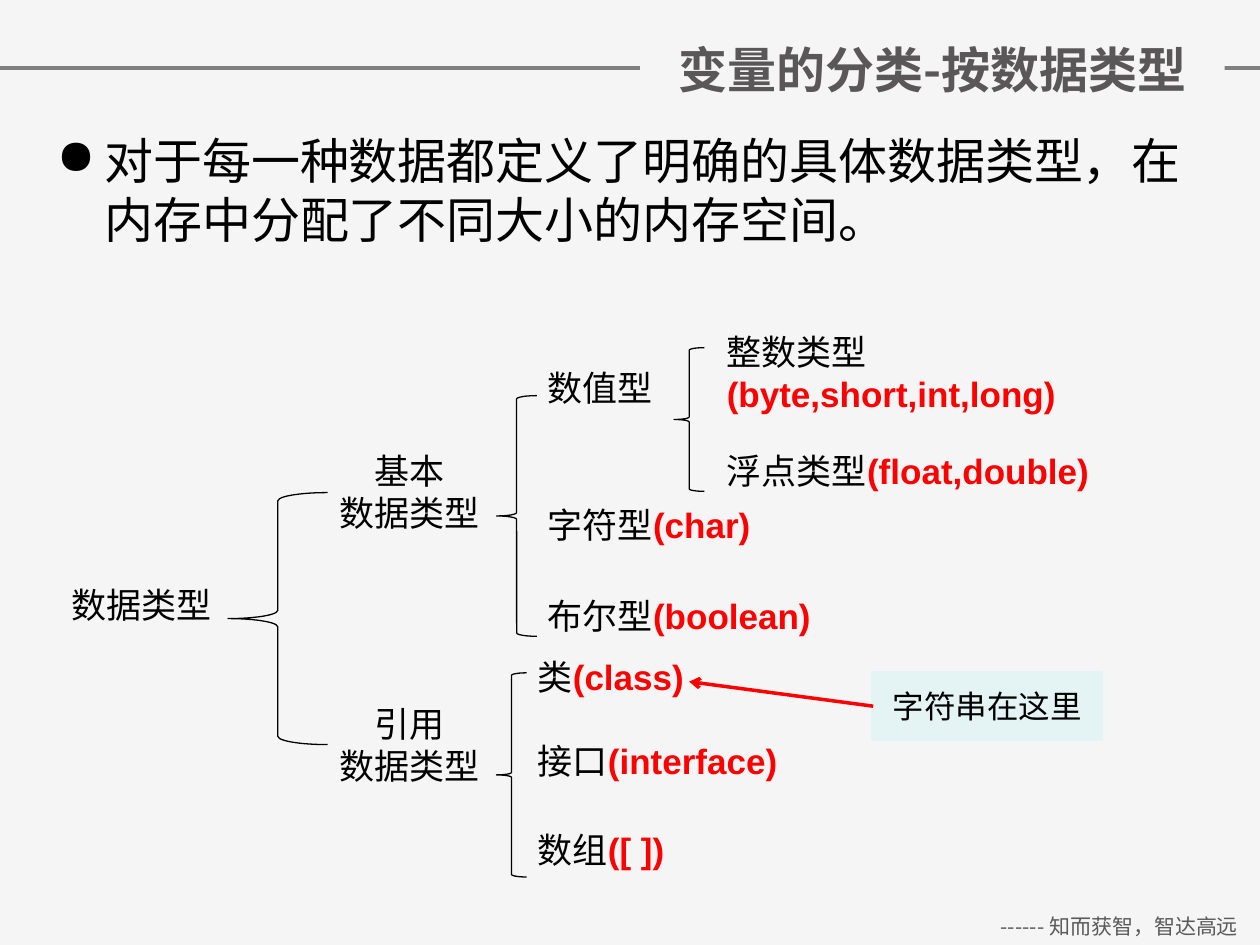
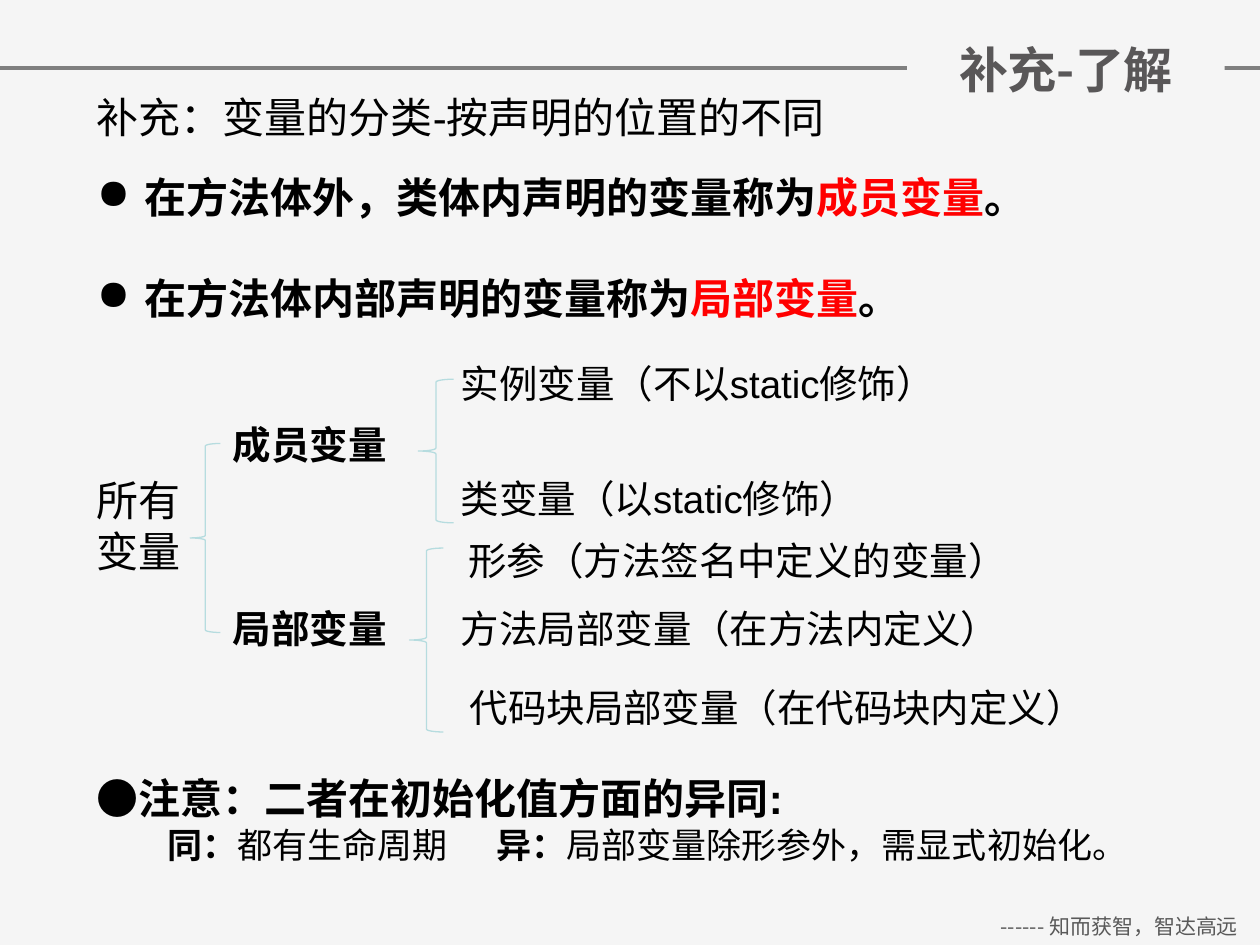
"""Build two slides that classify variables by data type and by place of declaration."""
from dataclasses import dataclass
from typing import NamedTuple

from lxml import etree
from pptx import Presentation
from pptx.dml.color import RGBColor
from pptx.enum.shapes import MSO_CONNECTOR, MSO_SHAPE
from pptx.enum.text import MSO_ANCHOR, PP_ALIGN
from pptx.oxml.ns import qn
from pptx.util import Inches, Pt

LEFT, CENTER = PP_ALIGN.LEFT, PP_ALIGN.CENTER
TOP, MIDDLE = MSO_ANCHOR.TOP, MSO_ANCHOR.MIDDLE
STRAIGHT = MSO_CONNECTOR.STRAIGHT
BRACE, RECTANGLE = MSO_SHAPE.LEFT_BRACE, MSO_SHAPE.RECTANGLE

WIDTH, HEIGHT = Inches(10), Inches(7.5)
COLUMN, ROW = WIDTH / 100, HEIGHT / 75

BLACK, RED, PAPER = "000000", "FF0000", "F5F5F5"
RULE_GRAY, TITLE_GRAY, FOOTER_GRAY = "7F7F7F", "595758", "595959"
PALE_TEAL, TEAL = "E4F3F4", "B6DCDF"
LATIN, CJK = "Arial", "Noto Sans CJK SC"
HANGING = Inches(0.38)
TITLE_ONLY = 5


class Area(NamedTuple):
    """A rectangle in columns and rows of the slide grid."""
    col: float
    row: float
    cols: float
    rows: float


class Run(NamedTuple):
    """A stretch of text with one look."""
    text: str
    color: str = BLACK
    bold: bool = False


@dataclass(frozen=True)
class Label:
    """Paragraphs of runs placed on the grid."""
    area: Area
    paragraphs: list[list[Run]]
    size: float
    align: PP_ALIGN = LEFT
    anchor: MSO_ANCHOR = TOP
    font: str = LATIN
    bullet: str = ""
    gap: float = 0


@dataclass(frozen=True)
class Page:
    """The content of one slide."""
    title: str
    title_area: Area
    labels: list[Label]
    braces: list[Area]
    brace_color: str


def rgb(code: str) -> RGBColor:
    """Turn a hex string into a colour."""
    return RGBColor.from_string(code)


def place(area: Area) -> tuple[int, int, int, int]:
    """Turn a grid area into left, top, width and height."""
    return (round(area.col * COLUMN), round(area.row * ROW),
            round(area.cols * COLUMN), round(area.rows * ROW))


def apply(target, formats: dict) -> None:
    """Set each named attribute on the target."""
    for name, value in formats.items():
        setattr(target, name, value)


def add_bullet(paragraph, char: str) -> None:
    """Give a paragraph a black hanging bullet."""
    properties = paragraph._p.get_or_add_pPr()
    properties.set("marL", str(HANGING))
    properties.set("indent", str(-HANGING))
    color = etree.SubElement(properties, qn("a:buClr"))
    etree.SubElement(color, qn("a:srgbClr"), val=BLACK)
    etree.SubElement(properties, qn("a:buChar"), char=char)


def write(frame, label: Label) -> None:
    """Fill a text frame with the paragraphs of a label."""
    apply(frame, {"word_wrap": True, "vertical_anchor": label.anchor})
    for index, runs in enumerate(label.paragraphs):
        paragraph = frame.add_paragraph() if index else frame.paragraphs[0]
        if label.bullet:
            add_bullet(paragraph, label.bullet)
        paragraph.alignment = label.align
        if index and label.gap:
            paragraph.space_before = Pt(label.gap)
        for part in runs:
            run = paragraph.add_run()
            run.text = part.text
            apply(run.font, {"size": Pt(label.size), "bold": part.bold, "name": label.font})
            run.font.color.rgb = rgb(part.color)
            etree.SubElement(run._r.get_or_add_rPr(), qn("a:ea"), typeface=CJK)


def add_label(slide, label: Label) -> None:
    """Draw a label as a text box."""
    write(slide.shapes.add_textbox(*place(label.area)).text_frame, label)


def add_brace(slide, area: Area, color: str) -> None:
    """Draw a thin left brace."""
    brace = slide.shapes.add_shape(BRACE, *place(area))
    brace.shadow.inherit = False
    brace.fill.background()
    brace.line.color.rgb = rgb(color)
    brace.line.width = Pt(0.75)


def add_line(slide, start: tuple[float, float], end: tuple[float, float], color: str):
    """Draw a straight line between two grid points."""
    line = slide.shapes.add_connector(
        STRAIGHT, round(start[0] * COLUMN), round(start[1] * ROW),
        round(end[0] * COLUMN), round(end[1] * ROW))
    line.line.color.rgb = rgb(color)
    line.line.width = Pt(2)
    etree.SubElement(line._element.spPr, qn("a:effectLst"))
    return line


def add_callout(slide, label: Label, tip: tuple[float, float]) -> None:
    """Draw a pale note with a red arrow to the tip."""
    note = slide.shapes.add_shape(RECTANGLE, *place(label.area))
    note.shadow.inherit = False
    note.fill.solid()
    note.fill.fore_color.rgb = note.line.color.rgb = rgb(PALE_TEAL)
    note.line.width = Pt(2)
    write(note.text_frame, label)
    start = (label.area.col, label.area.row + label.area.rows / 2)
    arrow = add_line(slide, start, tip, RED)
    etree.SubElement(arrow.line._get_or_add_ln(), qn("a:tailEnd"), type="arrow")


def add_page(deck, page: Page):
    """Add a slide with the shared frame and the page content."""
    slide = deck.slides.add_slide(deck.slide_layouts[TITLE_ONLY])
    slide.background.fill.solid()
    slide.background.fill.fore_color.rgb = rgb(PAPER)
    rule = add_line(slide, (0, 5.4), (100, 5.4), RULE_GRAY)
    slide.shapes._spTree.insert(2, rule._element)
    add_label(slide, FOOTER)

    title = slide.shapes.title
    apply(title, dict(zip(("left", "top", "width", "height"), place(page.title_area))))
    title.fill.solid()
    title.fill.fore_color.rgb = rgb(PAPER)
    write(title.text_frame, Label(page.title_area, [[Run(page.title, TITLE_GRAY, True)]],
                                  28, CENTER, MIDDLE, CJK))

    for label in page.labels:
        add_label(slide, label)
    for brace in page.braces:
        add_brace(slide, brace, page.brace_color)
    return slide


def kind(col: float, row: float, name: str, keyword: str = "", cols: float = 38.6) -> Label:
    """Describe a data type with its keyword in red."""
    runs = [Run(name)] + ([Run(keyword, RED, True)] if keyword else [])
    return Label(Area(col, row, cols, 4.4), [runs], 20)


def family(row: float, name: str) -> Label:
    """Describe a two-line family of data types."""
    return Label(Area(25.5, row, 14, 7.7), [[Run(name)], [Run("数据类型")]], 20, CENTER)


def variable(col: float, row: float, name: str, bold: bool = False) -> Label:
    """Describe a kind of variable."""
    return Label(Area(col, row, 16.5 if bold else 53.7, 4.7), [[Run(name, bold=bold)]], 22)


def definition(place_text: str, term: str) -> list[Run]:
    """Describe a bold sentence that ends in a red term."""
    return [Run(place_text, bold=True), Run(term, RED, True), Run("。", bold=True)]


def remark(col: float, cols: float, head: str, body: str) -> Label:
    """Describe a remark with a bold head."""
    return Label(Area(col, 64.9, cols, 4.4), [[Run(head, bold=True), Run(body)]], 20)


FOOTER = Label(Area(77.2, 72, 23.3, 3), [[Run("------ 知而获智，智达高远", FOOTER_GRAY)]],
               12, CENTER, font=CJK)

DATA_TYPES = Page(
    "变量的分类-按数据类型", Area(50.8, 0.1, 46.4, 10.7),
    [
        Label(Area(3.5, 9.9, 92.9, 11.4),
              [[Run("对于每一种数据都定义了明确的具体数据类型，在内存中分配了不同大小的内存空间。")]],
              28, bullet="●"),
        kind(4.7, 45.8, "数据类型", cols=15.7),
        family(35.2, "基本"),
        family(55.3, "引用"),
        kind(42.5, 28.6, "数值型", cols=14.2),
        kind(42.5, 39.5, "字符型", "(char)"),
        kind(42.5, 46.7, "布尔型", "(boolean)"),
        kind(56.7, 25.7, "整数类型", "(byte,short,int,long)"),
        kind(56.7, 35.2, "浮点类型", "(float,double)"),
        kind(41.7, 51.5, "类", "(class)"),
        kind(41.7, 58.2, "接口", "(interface)"),
        kind(41.7, 65.3, "数组", "([ ])"),
    ],
    [Area(18.1, 39.1, 7.9, 20), Area(39.4, 31.4, 3.2, 19.1),
     Area(39.4, 53.4, 2.4, 16.2), Area(53.5, 27.6, 2.4, 11.4)],
    BLACK)

STRING_NOTE = Label(Area(69.3, 53.4, 18.1, 5.3), [[Run("字符串在这里")]], 18, CENTER, MIDDLE)

DECLARATIONS = Page(
    "补充-了解", Area(72, 2.6, 25.2, 5.7),
    [
        Label(Area(6.7, 6.8, 64.6, 5), [[Run("补充：变量的分类-按声明的位置的不同")]], 24),
        Label(Area(6.7, 13.1, 88.2, 13),
              [definition("在方法体外，类体内声明的变量称为", "成员变量"),
               definition("在方法体内部声明的变量称为", "局部变量")],
              24, bullet="●", gap=29),
        Label(Area(6.7, 37.2, 9.2, 9), [[Run("所有")], [Run("变量")]], 24),
        variable(17.5, 32.9, "成员变量", True),
        variable(17.5, 47.5, "局部变量", True),
        variable(35.6, 28.1, "实例变量（不以static修饰）"),
        variable(35.6, 37.2, "类变量（以static修饰）"),
        variable(36.2, 42.1, "形参（方法签名中定义的变量）"),
        variable(35.6, 47.5, "方法局部变量（在方法内定义）"),
        variable(36.3, 53.8, "代码块局部变量（在代码块内定义）"),
        Label(Area(6.7, 60.8, 88.2, 5),
              [[Run("●注意：二者在初始化值方面的异同:", bold=True)]], 24),
        remark(12.3, 26, "同：", "都有生命周期"),
        remark(38.4, 55, "异：", "局部变量除形参外，需显式初始化。"),
    ],
    [Area(15.1, 35.2, 2.4, 15), Area(33.2, 30.1, 2.8, 11.4), Area(32.5, 43.5, 2.7, 14.6)],
    TEAL)


def main() -> None:
    """Build and save the deck."""
    deck = Presentation()
    apply(deck, {"slide_width": WIDTH, "slide_height": HEIGHT})
    add_callout(add_page(deck, DATA_TYPES), STRING_NOTE, (54.7, 54.1))
    add_page(deck, DECLARATIONS)
    deck.save("out.pptx")


if __name__ == "__main__":
    main()
